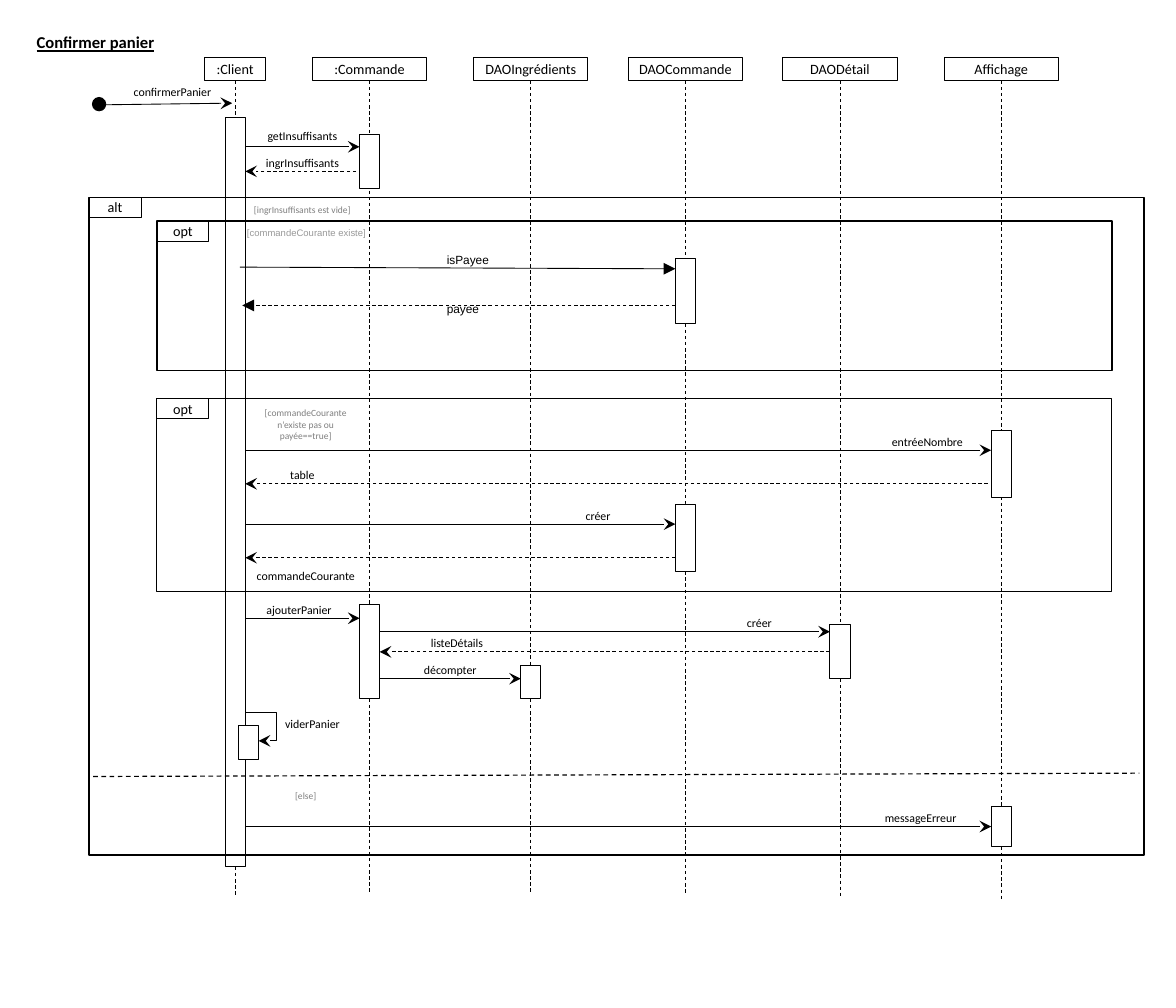
"""Build the sequence diagram "Confirmer panier" on a 350 by 300 grid."""
from dataclasses import dataclass

from lxml import etree
from pptx import Presentation
from pptx.dml.color import RGBColor
from pptx.enum.dml import MSO_LINE
from pptx.enum.shapes import MSO_CONNECTOR, MSO_SHAPE
from pptx.enum.text import MSO_ANCHOR, PP_ALIGN
from pptx.oxml.ns import qn
from pptx.util import Emu, Inches, Pt

RECTANGLE, OVAL = MSO_SHAPE.RECTANGLE, MSO_SHAPE.OVAL
STRAIGHT, DASH = MSO_CONNECTOR.STRAIGHT, MSO_LINE.DASH
LEFT, CENTER = PP_ALIGN.LEFT, PP_ALIGN.CENTER
TOP, MIDDLE = MSO_ANCHOR.TOP, MSO_ANCHOR.MIDDLE
COLORS = {"ink": "000000", "paper": "FFFFFF", "guard": "7F7F7F", "pale": "999999"}
CELL = 36000
COLUMNS, ROWS = 350, 300
HEAD_TOP, HEAD_HEIGHT, BAR_WIDTH = 17, 7, 6
TAB_WIDTH, TAB_HEIGHT = 15.5, 6
SNAP = 0.5


@dataclass
class Participant:
    name: str
    center: float
    width: float
    bars: list[tuple[float, float]]
    lifelines: list[tuple[float, float]]


@dataclass
class Frame:
    name: str
    left: float
    top: float
    width: float
    height: float
    weight: float


@dataclass
class Message:
    start: tuple[float, float]
    end: tuple[float, float]
    dashed: bool = False
    head: str = "stealth"
    weight: float = 0.75


@dataclass
class Label:
    words: str
    left: float
    top: float
    width: float = 34
    size: float = 10
    color: str = "ink"
    font: str = "Calibri"
    align: PP_ALIGN = CENTER
    inset: float = 0.05
    heading: bool = False


PARTICIPANTS = [
    Participant(":Client", 70, 18, [(35, 223)], [(24, 35), (258, 267)]),
    Participant(":Commande", 110, 34, [(40, 16), (180, 28)], [(24, 180), (208, 265.7)]),
    Participant("DAOIngrédients", 158, 34, [(198, 10)], [(24, 198), (208, 266)]),
    Participant("DAOCommande", 204, 34, [(77, 19.3), (150, 20)],
                [(24, 77), (96.3, 150), (170, 266.2)]),
    Participant("DAODétail", 250, 34, [(186, 16)], [(24, 186), (202, 267.5)]),
    Participant("Affichage", 298, 34, [(128, 20), (240, 12)], [(24, 240), (252, 267.7)]),
]
FRAMES = [
    Frame("opt", 46.7, 118.6, 284.2, 57.4, 1),
    Frame("alt", 26.5, 58.7, 314, 195.8, 1),
    Frame("opt", 46.7, 65.8, 284.2, 44.5, 1.5),
]
MESSAGES = [
    Message((30, 31.2), (69.1, 30.7)),
    Message((73, 43.7), (107, 43.7)),
    Message((106, 51), (73, 51), True),
    Message((71.4, 79.5), (201, 80), head="triangle"),
    Message((201, 90.9), (72.1, 90.9), True, "triangle"),
    Message((73, 134), (295, 134)),
    Message((294, 144), (73, 144), True),
    Message((73, 156), (201, 156)),
    Message((201, 166), (73, 166), True),
    Message((73, 184), (107, 184)),
    Message((113, 188), (247, 188)),
    Message((247, 194), (113, 194), True),
    Message((113, 202), (155, 202)),
    Message((27.7, 231.1), (339.1, 230.1), True, "", 1),
    Message((73, 246), (295, 246)),
]
SELF_CALL = [(73, 212), (82.3, 212), (82.3, 220.5), (77, 220.5)]
LABELS = [
    Label("Confirmer panier", 8.4, 8.4, 42, 14, align=LEFT, heading=True),
    Label("confirmerPanier", 37.3, 24, 28.7, align=LEFT),
    Label("getInsuffisants", 73, 37),
    Label("ingrInsuffisants", 73, 45.2),
    Label("[ingrInsuffisants est vide]", 72, 59.4, 36, 8, "guard"),
    Label("[commandeCourante existe]", 71, 65.8, 77.7, 8, "pale", "Arial", LEFT, 0.1),
    Label("isPayee", 130.5, 73, 58.7, font="Arial", align=LEFT, inset=0.1),
    Label("payee", 130.5, 87.6, 24, font="Arial", align=LEFT, inset=0.1),
    Label("[commandeCourante n’existe pas ou payée==true]", 73, 120, 36, 8, "guard"),
    Label("entréeNombre", 259, 128),
    Label("table", 73, 138),
    Label("créer", 161, 150),
    Label("commandeCourante", 73, 168, 36),
    Label("ajouterPanier", 73, 178, 32),
    Label("créer", 209, 182),
    Label("listeDétails", 119, 188),
    Label("décompter", 117, 196),
    Label("viderPanier", 77, 212, 32),
    Label("[else]", 73, 234, 36, 8, "guard"),
    Label("messageErreur", 257, 240),
]


def cells(*counts: float) -> list[Emu]:
    """Turn grid counts into lengths."""
    return [Emu(round(count * CELL)) for count in counts]


def ink(name: str) -> RGBColor:
    """Look up a named colour."""
    return RGBColor.from_string(COLORS[name])


def write(shape, words: str, size: float, color="ink", font="Calibri", align=CENTER) -> None:
    """Put one formatted paragraph into a shape."""
    frame = shape.text_frame
    frame.word_wrap = True
    frame.text = words
    para = frame.paragraphs[0]
    para.alignment = align
    span = para.runs[0]
    span.font.size, span.font.name = Pt(size), font
    span.font.color.rgb = ink(color)


def stroke(item, weight: float = 0.75, dashed: bool = False, head: str = "") -> None:
    """Style an outline, with an optional arrowhead at its end."""
    item.line.color.rgb = ink("ink")
    item.line.width = Pt(weight)
    if dashed:
        item.line.dash_style = DASH
    if head:
        outline = item.line._get_or_add_ln()
        etree.SubElement(outline, qn("a:tailEnd"), type=head, w="lg", len="lg")


def add_box(page, left, top, width, height, fill="", words="", weight=0.75, kind=RECTANGLE):
    """Draw an outlined box, optionally filled and titled."""
    box = page.shapes.add_shape(kind, *cells(left, top, width, height))
    box.shadow.inherit = False
    if fill:
        box.fill.solid()
        box.fill.fore_color.rgb = ink(fill)
    else:
        box.fill.background()
    stroke(box, weight)
    if words:
        write(box, words, 12)
        box.text_frame.vertical_anchor = MIDDLE
    return box


def find_side(boxes: list, point: tuple[float, float]):
    """Find the box and side whose middle lies at a grid point."""
    for box in boxes:
        middle, center = box.left + box.width / 2, box.top + box.height / 2
        sides = [(middle, box.top), (box.left, center),
                 (middle, box.top + box.height), (box.left + box.width, center)]
        for site, (across, down) in enumerate(sides):
            if max(abs(across / CELL - point[0]), abs(down / CELL - point[1])) < SNAP:
                return box, site
    return None


def add_message(page, message: Message, boxes: list) -> None:
    """Draw a straight line and join it to the boxes it meets."""
    line = page.shapes.add_connector(STRAIGHT, *cells(*message.start, *message.end))
    stroke(line, message.weight, message.dashed, message.head)
    etree.SubElement(line._element.spPr, qn("a:effectLst"))
    for point, join in ((message.start, line.begin_connect), (message.end, line.end_connect)):
        side = find_side(boxes, point)
        if side:
            join(*side)


def add_label(page, label: Label) -> None:
    """Place a free text on the page."""
    box = page.shapes.add_textbox(*cells(label.left, label.top, label.width, 7))
    write(box, label.words, label.size, label.color, label.font, label.align)
    frame = box.text_frame
    frame.vertical_anchor = TOP
    frame.margin_top = frame.margin_bottom = Inches(label.inset)
    font = frame.paragraphs[0].runs[0].font
    font.bold = font.underline = label.heading


def add_self_call(page) -> None:
    """Draw the call of the client to itself, with its nested bar."""
    builder = page.shapes.build_freeform(*cells(*SELF_CALL[0]), scale=1.0)
    builder.add_line_segments([tuple(cells(*point)) for point in SELF_CALL[1:]], close=False)
    path_shape = builder.convert_to_shape()
    path_shape.shadow.inherit = False
    path_shape.fill.background()
    stroke(path_shape, head="stealth")
    add_box(page, 71, 216, BAR_WIDTH, 10, "paper")


def main() -> None:
    """Build and save the deck."""
    deck = Presentation()
    deck.slide_width, deck.slide_height = cells(COLUMNS, ROWS)
    page = deck.slides.add_slide(deck.slide_layouts[6])
    boxes = []
    for person in PARTICIPANTS:
        boxes.append(add_box(page, person.center - person.width / 2, HEAD_TOP,
                             person.width, HEAD_HEIGHT, words=person.name))
        bars = [add_box(page, person.center - BAR_WIDTH / 2, top, BAR_WIDTH, height, "paper")
                for top, height in person.bars]
        boxes += bars
        for start, end in person.lifelines:
            lifeline = Message((person.center, start), (person.center, end), True, "")
            add_message(page, lifeline, boxes)
        for bar in bars:
            page.shapes._spTree.append(bar._element)
    for frame in FRAMES:
        add_box(page, frame.left, frame.top, frame.width, frame.height, weight=frame.weight)
        add_box(page, frame.left, frame.top, TAB_WIDTH, TAB_HEIGHT, words=frame.name)
    add_box(page, 27.5, 29, 4, 4, "ink", kind=OVAL)
    for message in MESSAGES:
        add_message(page, message, boxes)
    add_self_call(page)
    for label in LABELS:
        add_label(page, label)
    deck.save("out.pptx")


if __name__ == "__main__":
    main()
